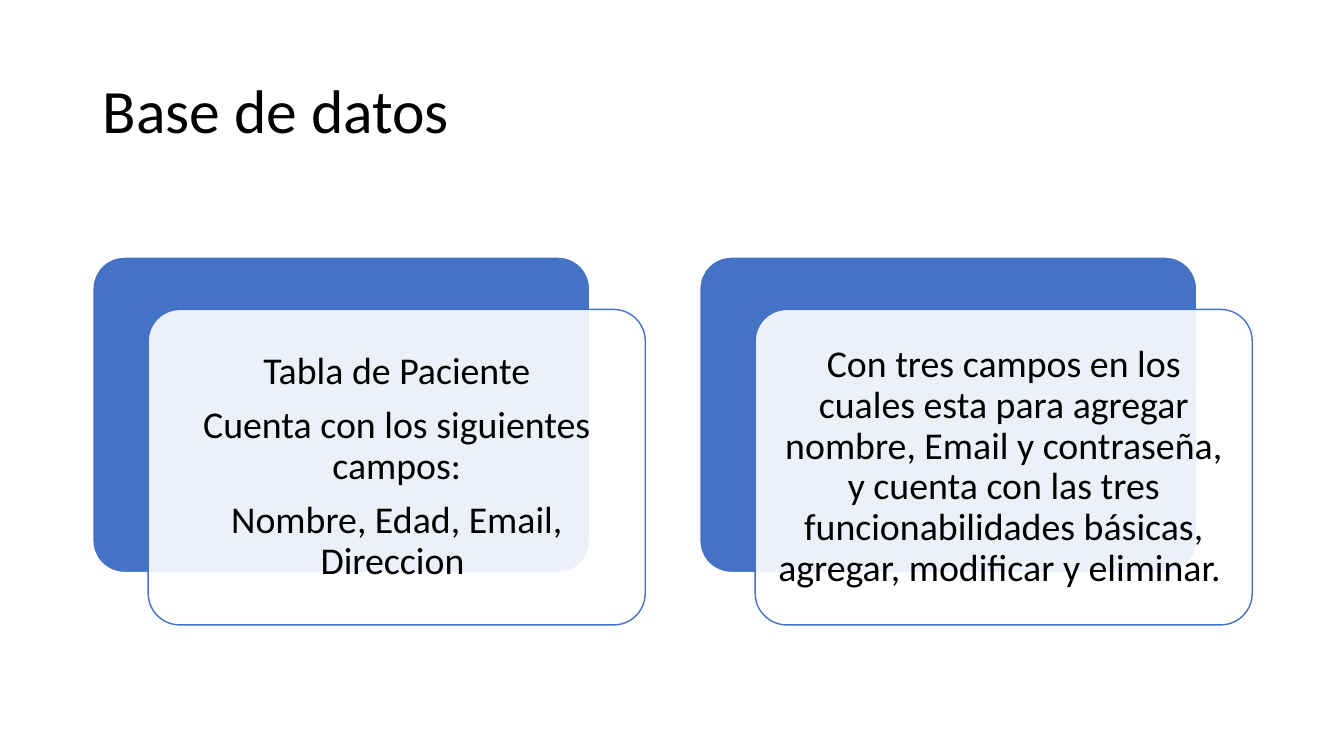
from lxml import etree
from pptx import Presentation
from pptx.dml.color import RGBColor
from pptx.enum.shapes import MSO_SHAPE
from pptx.enum.text import MSO_ANCHOR, PP_ALIGN
from pptx.oxml.ns import qn
from pptx.util import Inches, Pt

BLUE, WHITE, BLACK = "4472C4", "FFFFFF", "000000"
CARD_W, CARD_H = 4.93, 3.13
CARD_LEFT, CARD_TOP, CARD_PITCH = 0.92, 2.55, 6.02
OFFSET_X, OFFSET_Y, TEXT_MARGIN = 0.55, 0.52, 0.09

CARDS = [
    ["Tabla de Paciente",
     "Cuenta con los siguientes campos:",
     "Nombre, Edad, Email, Direccion "],
    ["Con tres campos en los cuales esta para agregar nombre, Email y "
     "contraseña, y cuenta con las tres funcionabilidades básicas, "
     "agregar, modificar y eliminar. "],
]


def color(value):
    return RGBColor.from_string(value)


def add_text(s, x, y, w, h, paragraphs, size, align=PP_ALIGN.LEFT,
             inset_x=0.1, inset_y=0.05, after=0):
    tf = s.shapes.add_textbox(Inches(x), Inches(y), Inches(w), Inches(h)).text_frame
    tf.word_wrap = True
    tf.vertical_anchor = MSO_ANCHOR.MIDDLE
    tf.margin_left = tf.margin_right = Inches(inset_x)
    tf.margin_top = tf.margin_bottom = Inches(inset_y)
    for i, text in enumerate(paragraphs):
        p = tf.add_paragraph() if i else tf.paragraphs[0]
        p.alignment = align
        p.line_spacing = 0.9
        p.space_after = Pt(after)
        r = p.add_run()
        r.text = text
        r.font.name = "Calibri"
        r.font.size = Pt(size)
        r.font.color.rgb = color(BLACK)


def add_panel(s, x, y, w, h, fill, line, opacity=100):
    sp = s.shapes.add_shape(MSO_SHAPE.ROUNDED_RECTANGLE,
                            Inches(x), Inches(y), Inches(w), Inches(h))
    sp.adjustments[0] = 0.1
    sp.shadow.inherit = False
    sp.fill.solid()
    sp.fill.fore_color.rgb = color(fill)
    sp.line.color.rgb = color(line)
    sp.line.width = Pt(1)
    if opacity < 100:
        clr = sp.fill._xPr.find(qn("a:solidFill")).find(qn("a:srgbClr"))
        etree.SubElement(clr, qn("a:alpha")).set("val", str(opacity * 1000))


def add_card(s, x, y, w, h, paragraphs):
    """Blue panel with a translucent text panel shifted down and right."""
    add_panel(s, x, y, w, h, BLUE, WHITE)
    x, y = x + OFFSET_X, y + OFFSET_Y
    add_panel(s, x, y, w, h, WHITE, BLUE, opacity=90)
    add_text(s, x + TEXT_MARGIN, y + TEXT_MARGIN,
             w - 2 * TEXT_MARGIN, h - 2 * TEXT_MARGIN, paragraphs, 27,
             align=PP_ALIGN.CENTER, inset_x=0.11, inset_y=0.11, after=9.5)


def main():
    prs = Presentation()
    prs.slide_width, prs.slide_height = Inches(13.33), Inches(7.5)
    s = prs.slides.add_slide(prs.slide_layouts[6])
    add_text(s, 0.92, 0.4, 11.5, 1.45, ["Base de datos"], 44)
    for i, paragraphs in enumerate(CARDS):
        add_card(s, CARD_LEFT + i * CARD_PITCH, CARD_TOP, CARD_W, CARD_H, paragraphs)
    prs.save("out.pptx")


if __name__ == "__main__":
    main()
